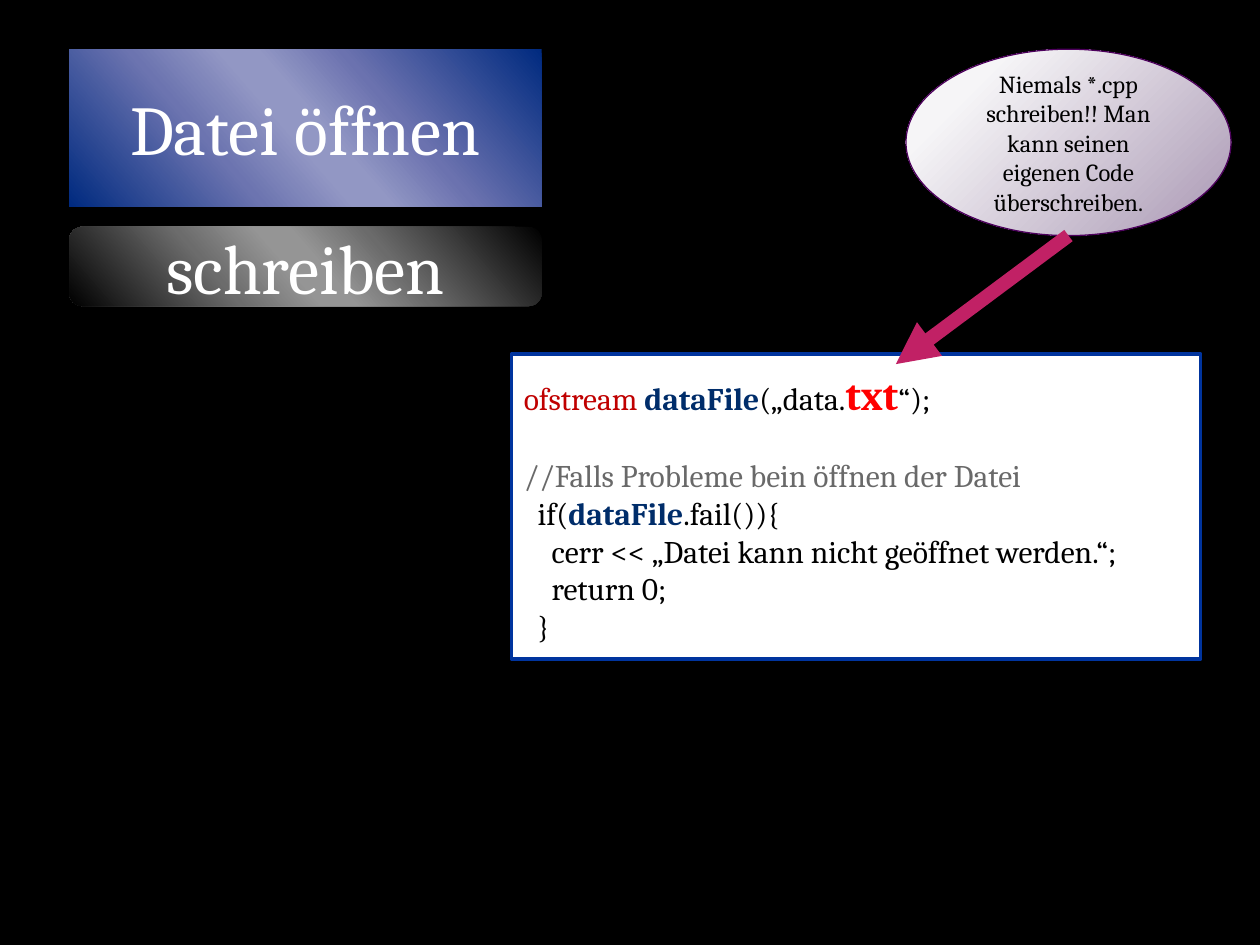
from typing import NamedTuple, Optional

from lxml import etree
from pptx import Presentation
from pptx import util as u
from pptx.dml import color
from pptx.enum import shapes, text
from pptx.oxml import ns

FONT = "Cambria"
BLACK, WHITE = "000000", "FFFFFF"


class Span(NamedTuple):
    text: str
    color: str = BLACK
    size: float = 18
    bold: bool = False


class Line(NamedTuple):
    spans: list[Span]
    space_before: float = 0


class Panel(NamedTuple):
    place: tuple[float, float, float, float]
    lines: list[Line]
    shape: shapes.MSO_SHAPE = shapes.MSO_SHAPE.ROUNDED_RECTANGLE
    fill: str = WHITE
    stops: tuple[tuple[int, str], ...] = ()
    radial: bool = False
    border: Optional[tuple[str, float]] = None
    align: text.PP_ALIGN = text.PP_ALIGN.CENTER


def rgb(value: str) -> color.RGBColor:
    return color.RGBColor.from_string(value)


def add_child(parent, tag: str, **values):
    """Append a drawing element with the given attributes."""
    child = etree.SubElement(parent, ns.qn(tag))
    for name, value in values.items():
        child.set(name, str(value))
    return child


def paint_gradient(box, stops, radial: bool) -> None:
    box.fill.gradient()
    box.fill.gradient_angle = 360 - 139
    gradient = box._element.spPr.find(ns.qn("a:gradFill"))
    stop_list = gradient.find(ns.qn("a:gsLst"))
    for old in list(stop_list):
        stop_list.remove(old)
    for percent, value in stops:
        stop = add_child(stop_list, "a:gs", pos=percent * 1000)
        add_child(stop, "a:srgbClr", val=value)
    if radial:
        gradient.remove(gradient.find(ns.qn("a:lin")))
        circle = add_child(gradient, "a:path", path="circle")
        add_child(circle, "a:fillToRect", l=-15000, t=-15000, r=115000, b=115000)


def write_lines(box, panel: Panel) -> None:
    frame = box.text_frame
    settings = {"word_wrap": True, "auto_size": text.MSO_AUTO_SIZE.NONE,
                "vertical_anchor": text.MSO_ANCHOR.MIDDLE}
    for name, value in settings.items():
        setattr(frame, name, value)
    for index, line in enumerate(panel.lines):
        para = frame.add_paragraph() if index else frame.paragraphs[0]
        para.alignment = panel.align
        if line.space_before:
            para.space_before = u.Pt(line.space_before)
        for span in line.spans:
            run = para.add_run()
            run.text = span.text
            font = {"name": FONT, "size": u.Pt(span.size), "bold": span.bold}
            for name, value in font.items():
                setattr(run.font, name, value)
            run.font.color.rgb = rgb(span.color)


def style_panel(box, panel: Panel) -> None:
    if panel.stops:
        paint_gradient(box, panel.stops, panel.radial)
    else:
        box.fill.solid()
        box.fill.fore_color.rgb = rgb(panel.fill)
    if panel.border:
        value, width = panel.border
        box.line.color.rgb = rgb(value)
        box.line.width = u.Pt(width)
    else:
        box.line.fill.background()
    write_lines(box, panel)


def draw_panel(page, panel: Panel) -> None:
    box = page.shapes.add_shape(panel.shape, *map(u.Inches, panel.place))
    box.shadow.inherit = False
    style_panel(box, panel)


def draw_title(page, panel: Panel) -> None:
    box = page.shapes.title
    for name, value in zip(("left", "top", "width", "height"), panel.place):
        setattr(box, name, u.Inches(value))
    outline = add_child(box._element.spPr, "a:prstGeom", prst="roundRect")
    add_child(outline, "a:avLst")
    style_panel(box, panel)


def draw_arrow(page, start, end, value: str, width: float) -> None:
    arrow = page.shapes.add_connector(
        shapes.MSO_CONNECTOR.STRAIGHT, *map(u.Inches, start + end))
    arrow.line.color.rgb = rgb(value)
    arrow.line.width = u.Pt(width)
    add_child(arrow.line._get_or_add_ln(), "a:tailEnd", type="triangle")
    add_child(arrow._element.spPr, "a:effectLst")


def sheen(*colors: str) -> tuple[tuple[int, str], ...]:
    """Dark ends with a light band in the middle."""
    edge, left, light, right = colors
    return tuple(zip((0, 33, 47, 53, 68, 100),
                     (edge, left, light, light, right, edge)))


NAVY = "002D6A"

TITLE = Panel((0.55, 0.39, 3.75, 1.25),
              [Line([Span("Datei öffnen", WHITE, 40)])],
              stops=sheen("002A7F", "6B72AF", "9297C4", "6C74B0"))

CODE = Panel(
    (4.06, 2.81, 5.47, 2.42),
    [
        Line([Span("ofstream ", "C00000"), Span("dataFile", NAVY, bold=True),
              Span("(„data."), Span("txt", "FF0000", 24, True), Span("“);")]),
        Line([Span("//Falls Probleme bein öffnen der Datei", "696969")], 21.5),
        Line([Span("  if("), Span("dataFile", NAVY, bold=True),
              Span(".fail()){")]),
        Line([Span("    cerr << „Datei kann nicht geöffnet werden.“;")]),
        Line([Span("    return 0;")]),
        Line([Span("  }")]),
    ],
    shape=shapes.MSO_SHAPE.RECTANGLE, border=("00349E", 2),
    align=text.PP_ALIGN.LEFT)

SUBTITLE = Panel((0.55, 1.8, 3.75, 0.63),
                 [Line([Span("schreiben", WHITE, 40)])],
                 stops=sheen(BLACK, "6B6B6B", "959595", "6C6C6C"))

WARNING = Panel(
    (7.19, 0.39, 2.58, 1.48),
    [Line([Span("Niemals *.cpp schreiben!! Man kann seinen eigenen Code "
                "überschreiben.", size=14)])],
    shape=shapes.MSO_SHAPE.OVAL, stops=((20, "F6F5F7"), (100, "A997B3")),
    radial=True, border=("4C005C", 0.75))


def main() -> None:
    deck = Presentation()
    deck.slide_width, deck.slide_height = u.Inches(10), u.Inches(7.5)
    page = deck.slides.add_slide(deck.slide_layouts.get_by_name("Title Only"))
    page.background.fill.solid()
    page.background.fill.fore_color.rgb = rgb(BLACK)

    # Heading, code listing and warning
    draw_title(page, TITLE)
    for panel in (CODE, SUBTITLE, WARNING):
        draw_panel(page, panel)

    # Arrow from the warning to the file extension
    draw_arrow(page, (8.48, 1.87), (7.11, 2.89), "C12165", 8)
    deck.save("out.pptx")


if __name__ == "__main__":
    main()
